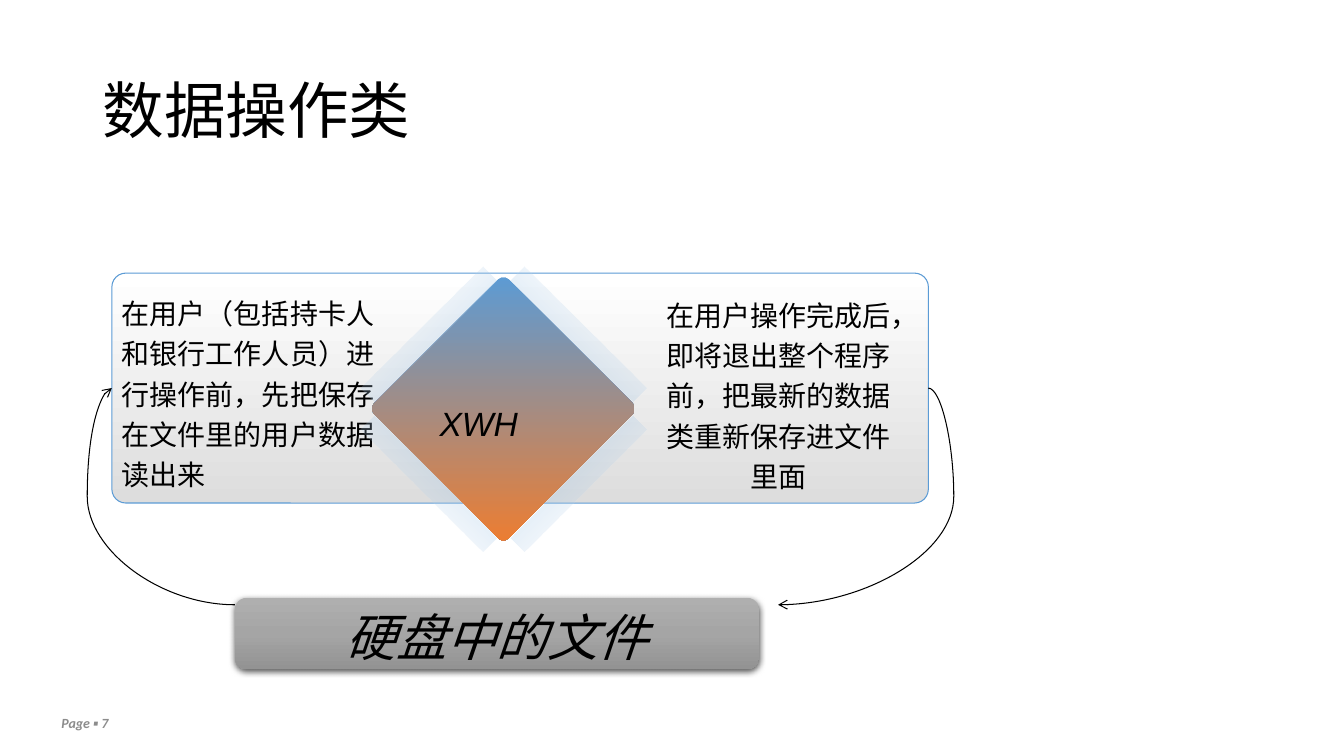
from dataclasses import dataclass
from math import cos, radians, sin

from lxml.etree import SubElement
from pptx import Presentation
from pptx.dml.color import RGBColor
from pptx.enum.shapes import MSO_CONNECTOR, MSO_SHAPE
from pptx.enum.text import MSO_ANCHOR, PP_ALIGN
from pptx.oxml.ns import qn
from pptx.shapes.autoshape import Shape
from pptx.shapes.connector import Connector
from pptx.slide import Slide
from pptx.util import Pt

CJK_FONT = "Noto Sans CJK SC"
BLACK = "000000"
BLUE = "5B9BD5"
DIAMOND_CENTER = (359.6, 292)
DIAMOND_SIZE = 136
BAND_SIZE = (122.4, 14.4)
BAND_DISTANCE = 75.6
BAND_ANGLES = (225, 45, 315, 135)


@dataclass(frozen=True)
class Box:
    left: float
    top: float
    width: float
    height: float


@dataclass(frozen=True)
class Stop:
    position: int
    color: str
    opacity: int = 100


@dataclass(frozen=True)
class Label:
    text: str
    size: float
    font: str = "Calibri"
    color: str = BLACK
    bold: bool = False
    italic: bool = False
    align: PP_ALIGN = PP_ALIGN.LEFT
    anchor: MSO_ANCHOR = MSO_ANCHOR.MIDDLE
    spacing: float = 1.0
    wrap: bool = True


@dataclass(frozen=True)
class Arrow:
    start: tuple[float, float]
    end: tuple[float, float]
    bend: float


PAGE_NUMBER = Label("Page ▪ 7", 10, color="8C8C8C", bold=True, italic=True)
TITLE = Label("数据操作类", 44, spacing=0.9)
CLASS_NAME = Label("XWH", 24, "Arial", italic=True, align=PP_ALIGN.CENTER,
                   anchor=MSO_ANCHOR.TOP, wrap=False)
READ_STEP = Label("在用户（包括持卡人和银行工作人员）进行操作前，先把保存在文件里的用户数据读出来",
                  20, spacing=1.2)
SAVE_STEP = Label("在用户操作完成后，即将退出整个程序前，把最新的数据类重新保存进文件里面",
                  20, align=PP_ALIGN.CENTER, spacing=1.2)
DISK_FILE = Label("硬盘中的文件", 36, CJK_FONT, italic=True,
                  align=PP_ALIGN.CENTER, anchor=MSO_ANCHOR.TOP)
ARROWS = (
    Arrow((167.8, 432), (79.9, 277.2), 1.2),
    Arrow((663.1, 277.2), (555.8, 432), -0.17),
)


def rgb(color: str) -> RGBColor:
    return RGBColor.from_string(color)


def write_label(shape: Shape, label: Label) -> None:
    frame = shape.text_frame
    frame.word_wrap = label.wrap
    frame.vertical_anchor = label.anchor
    paragraph = frame.paragraphs[0]
    paragraph.alignment = label.align
    paragraph.line_spacing = label.spacing
    run = paragraph.add_run()
    run.text = label.text
    font = run.font
    font.name = label.font
    font.size = Pt(label.size)
    font.bold = label.bold
    font.italic = label.italic
    font.color.rgb = rgb(label.color)
    SubElement(font._element, qn("a:ea"), typeface=CJK_FONT)


def add_label(slide: Slide, box: Box, label: Label) -> None:
    shape = slide.shapes.add_textbox(
        Pt(box.left), Pt(box.top), Pt(box.width), Pt(box.height))
    write_label(shape, label)


def set_gradient(shape: Shape, stops: list[Stop], clockwise_angle: int) -> None:
    shape.fill.gradient()
    shape.fill.gradient_angle = 360 - clockwise_angle
    stop_list = shape._element.spPr.find(f"{qn('a:gradFill')}/{qn('a:gsLst')}")
    stop_list.clear()
    for stop in stops:
        entry = SubElement(stop_list, qn("a:gs"), pos=str(stop.position * 1000))
        color = SubElement(entry, qn("a:srgbClr"), val=stop.color)
        if stop.opacity < 100:
            SubElement(color, qn("a:alpha"), val=str(stop.opacity * 1000))


def add_gradient_shape(slide: Slide, kind: MSO_SHAPE, box: Box, stops: list[Stop],
                       clockwise_angle: int = 90, rotation: float = 0,
                       corner: float | None = None) -> Shape:
    shape = slide.shapes.add_shape(
        kind, Pt(box.left), Pt(box.top), Pt(box.width), Pt(box.height))
    shape.shadow.inherit = False
    shape.rotation = rotation
    shape.line.fill.background()
    set_gradient(shape, stops, clockwise_angle)
    if corner is not None:
        shape.adjustments[0] = corner
    return shape


def centered_box(x: float, y: float, width: float, height: float) -> Box:
    return Box(x - width / 2, y - height / 2, width, height)


def add_bands(slide: Slide) -> None:
    """Place one fading band along each side of the diamond."""
    center_x, center_y = DIAMOND_CENTER
    for angle in BAND_ANGLES:
        x = center_x + BAND_DISTANCE * sin(radians(angle))
        y = center_y - BAND_DISTANCE * cos(radians(angle))
        add_gradient_shape(slide, MSO_SHAPE.RECTANGLE, centered_box(x, y, *BAND_SIZE),
                           [Stop(0, "FFFFFF", 0), Stop(100, BLUE, 50)], rotation=angle)


def add_drop_shadow(shape: Shape) -> None:
    effects = shape._element.spPr.find(qn("a:effectLst"))
    shadow = SubElement(effects, qn("a:outerShdw"), blurRad=str(Pt(4.5)),
                        dist=str(Pt(1.5)), dir="5400000", rotWithShape="0")
    color = SubElement(shadow, qn("a:srgbClr"), val=BLACK)
    SubElement(color, qn("a:alpha"), val="63000")


def add_curved_arrow(slide: Slide, arrow: Arrow) -> Connector:
    connector = slide.shapes.add_connector(
        MSO_CONNECTOR.CURVE, *map(Pt, arrow.start), *map(Pt, arrow.end))
    connector.line.color.rgb = rgb(BLACK)
    connector.line.width = Pt(0.75)
    properties = connector._element.spPr
    SubElement(properties.find(qn("a:ln")), qn("a:tailEnd"), type="arrow")
    SubElement(properties, qn("a:effectLst"))
    guides = properties.find(f"{qn('a:prstGeom')}/{qn('a:avLst')}")
    SubElement(guides, qn("a:gd"), name="adj1", fmla=f"val {round(arrow.bend * 100000)}")
    return connector


def main() -> None:
    presentation = Presentation()
    presentation.slide_width = Pt(960)
    presentation.slide_height = Pt(540)
    slide = presentation.slides.add_slide(presentation.slide_layouts[6])

    add_label(slide, Box(36.7, 508.3, 113, 15.8), PAGE_NUMBER)
    add_label(slide, Box(66.2, 28.8, 828, 104.4), TITLE)

    panel = add_gradient_shape(
        slide, MSO_SHAPE.ROUNDED_RECTANGLE, Box(79.9, 195.1, 583.2, 164.2),
        [Stop(0, "DDDDDD"), Stop(100, "FFFFFF")], rotation=180, corner=0.06)
    panel.line.color.rgb = rgb(BLUE)
    panel.line.width = Pt(0.75)
    add_gradient_shape(
        slide, MSO_SHAPE.ROUNDED_RECTANGLE,
        centered_box(*DIAMOND_CENTER, DIAMOND_SIZE, DIAMOND_SIZE),
        [Stop(0, BLUE), Stop(100, "ED7D31")], 45, rotation=45, corner=0.04)

    add_label(slide, Box(302, 284.4, 80, 36), CLASS_NAME)
    add_label(slide, Box(79.9, 214.6, 195.2, 128.9), READ_STEP)
    add_bands(slide)
    add_label(slide, Box(462.2, 214.6, 188, 131), SAVE_STEP)

    disk = add_gradient_shape(
        slide, MSO_SHAPE.ROUNDED_RECTANGLE, Box(167.8, 427, 374.4, 51.1),
        [Stop(0, "AFAFAF"), Stop(50, "A5A5A5"), Stop(100, "939393")])
    add_drop_shadow(disk)
    write_label(disk, DISK_FILE)
    for arrow in ARROWS:
        add_curved_arrow(slide, arrow)

    presentation.save("out.pptx")


if __name__ == "__main__":
    main()
